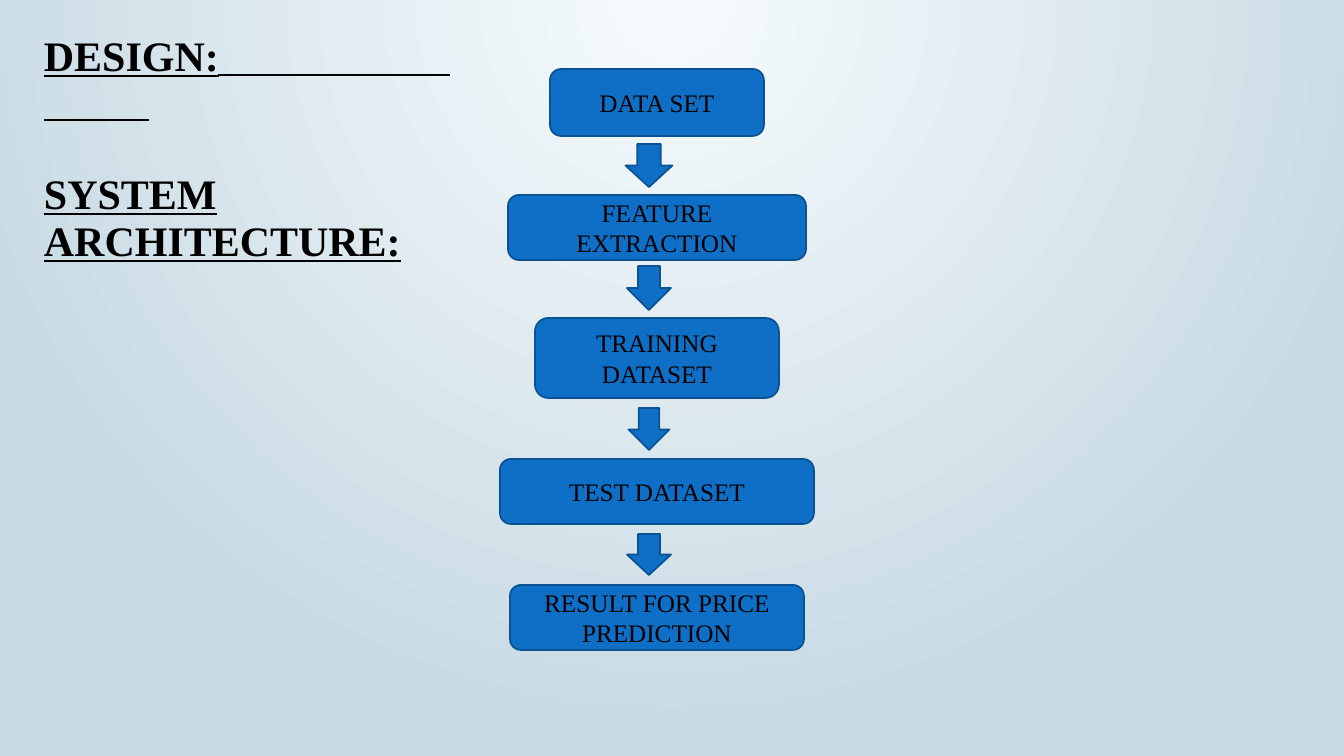
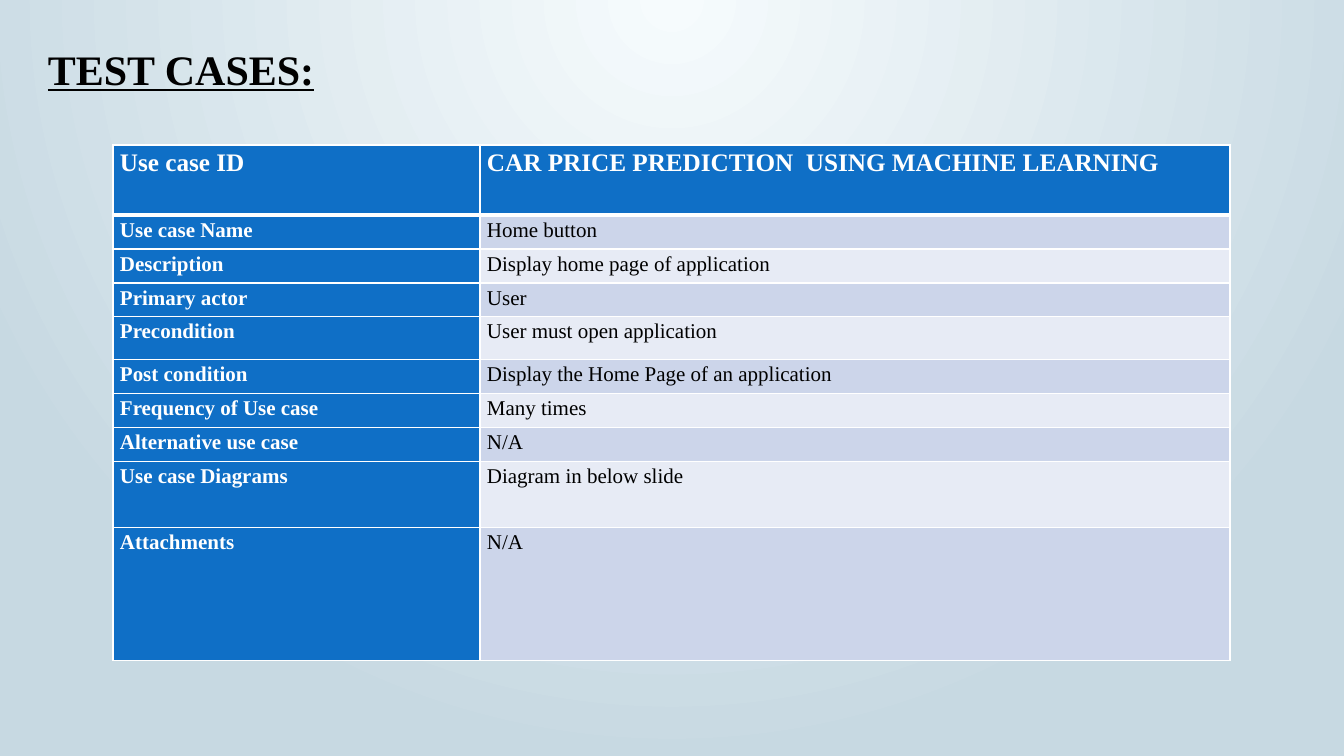
from lxml import etree
from pptx import Presentation
from pptx.dml.color import RGBColor
from pptx.enum.shapes import MSO_CONNECTOR, MSO_SHAPE
from pptx.enum.text import MSO_ANCHOR, PP_ALIGN
from pptx.oxml import parse_xml
from pptx.oxml.ns import nsdecls, qn
from pptx.util import Emu, Pt

# Shared style
SLIDE_WIDTH, SLIDE_HEIGHT = 1344, 756
EMU_PER_PX = 12192000 / SLIDE_WIDTH
FONT = "Times New Roman"

BLACK = RGBColor(0x00, 0x00, 0x00)
WHITE = RGBColor(0xFF, 0xFF, 0xFF)
BLUE = RGBColor(0x0F, 0x6F, 0xC6)
DARK_BLUE = RGBColor(0x0B, 0x52, 0x92)
BAND_DARK = RGBColor(0xCC, 0xD5, 0xEA)
BAND_LIGHT = RGBColor(0xE7, 0xEB, 0xF5)
GLOW = RGBColor(0xF6, 0xFB, 0xFD)
MIST = RGBColor(0xC7, 0xD9, 0xE2)

TITLE_FORMAT = {"size": Pt(30), "bold": True, "underline": True}
STEP_FORMAT = {"size": Pt(18)}
CELL_SPACING = {"line_spacing": 1.15, "space_after": Pt(10)}

# Flow chart: text, top, width, height
STEP_CENTER, ARROW_CENTER = 657, 649
STEPS = [
    ("DATA SET", 69, 214, 67),
    ("FEATURE EXTRACTION", 195, 298, 65),
    ("TRAINING DATASET", 318, 244, 80),
    ("TEST DATASET", 459, 314, 65),
    ("RESULT FOR PRICE PREDICTION", 585, 294, 65),
]
ARROWS = [(144, 47, 43), (266, 44, 44), (408, 41, 42), (534, 44, 41)]

# Use case table: label, value, row height
TABLE_LEFT, TABLE_TOP = 113, 145
COLUMN_WIDTHS = (367, 750)
USE_CASE = [
    ("Use case ID", "CAR PRICE PREDICTION  USING MACHINE LEARNING", 70),
    ("Use case Name", "Home button", 34),
    ("Description", "Display home page of application", 34),
    ("Primary actor", "User", 34),
    ("Precondition", "User must open application", 43),
    ("Post condition", "Display the Home Page of an application", 34),
    ("Frequency of Use case", "Many times", 34),
    ("Alternative use case", "N/A", 34),
    ("Use case Diagrams", "Diagram in below slide", 66),
    ("Attachments", "N/A", 133),
]


def px(value):
    return Emu(round(value * EMU_PER_PX))


def apply_format(target, values):
    for name, value in values.items():
        setattr(target, name, value)


def write(paragraph, text, font_format, color=BLACK, paragraph_format=None):
    run = paragraph.add_run()
    run.text = text
    apply_format(run.font, {"name": FONT, **font_format})
    run.font.color.rgb = color
    apply_format(paragraph, paragraph_format or {})


def set_background(master):
    """Radial gradient spreading from the top centre of every slide."""
    fill = master.background.fill
    fill.gradient()
    for stop, color in zip(fill.gradient_stops, (GLOW, MIST)):
        stop.color.rgb = color
    gradient = master.background.fill._fill._gradFill
    gradient.replace(
        gradient.find(qn("a:lin")),
        parse_xml(
            f'<a:path {nsdecls("a")} path="circle">'
            '<a:fillToRect l="43000" t="0" r="43000" b="100000"/></a:path>'
        ),
    )


def add_title(slide, left, top, width, height, lines, paragraph_format, gap=0):
    box = slide.shapes.add_textbox(px(left), px(top), px(width), px(height))
    frame = box.text_frame
    frame.word_wrap = True
    for index, line in enumerate(lines):
        paragraph = frame.add_paragraph() if index else frame.paragraphs[0]
        write(paragraph, line, TITLE_FORMAT, paragraph_format=paragraph_format)
        if index:
            paragraph.space_before = Pt(gap)


def add_rule(slide, left, right, y):
    rule = slide.shapes.add_connector(
        MSO_CONNECTOR.STRAIGHT, px(left), px(y), px(right), px(y)
    )
    rule.line.color.rgb = BLACK
    rule.line.width = Pt(1.5)
    etree.SubElement(rule._element.spPr, qn("a:effectLst"))


def add_blue_shape(slide, kind, center, top, width, height):
    shape = slide.shapes.add_shape(
        kind, px(center - width / 2), px(top), px(width), px(height)
    )
    shape.shadow.inherit = False
    shape.fill.solid()
    shape.fill.fore_color.rgb = BLUE
    shape.line.color.rgb = DARK_BLUE
    shape.line.width = Pt(1.25)
    return shape


def add_step(slide, text, top, width, height):
    shape = add_blue_shape(
        slide, MSO_SHAPE.ROUNDED_RECTANGLE, STEP_CENTER, top, width, height
    )
    frame = shape.text_frame
    apply_format(frame, {"word_wrap": True, "vertical_anchor": MSO_ANCHOR.MIDDLE})
    write(frame.paragraphs[0], text, STEP_FORMAT,
          paragraph_format={"alignment": PP_ALIGN.CENTER})


def set_borders(cell, widths):
    properties = cell._tc.get_or_add_tcPr()
    for index, (side, width) in enumerate(widths.items()):
        properties.insert(index, parse_xml(
            f'<a:ln{side} {nsdecls("a")} w="{Pt(width)}"><a:solidFill>'
            f'<a:srgbClr val="{WHITE}"/></a:solidFill></a:ln{side}>'
        ))


def fill_cell(cell, text, row, column):
    is_heading = row == 0 or column == 0
    band = BAND_DARK if row % 2 else BAND_LIGHT
    cell.fill.solid()
    cell.fill.fore_color.rgb = BLUE if is_heading else band
    apply_format(cell, {"margin_left": px(7), "margin_right": px(7),
                        "margin_top": 0, "margin_bottom": 0})
    font_format = {"size": Pt(15 if row else 18), "bold": is_heading}
    write(cell.text_frame.paragraphs[0], text, font_format,
          WHITE if is_heading else BLACK, CELL_SPACING)
    set_borders(cell, {"L": 1, "R": 1, "T": 3 if row == 1 else 1,
                       "B": 1 if row else 3})


def add_use_case_table(slide):
    height = sum(row_height for *_, row_height in USE_CASE)
    table = slide.shapes.add_table(
        len(USE_CASE), len(COLUMN_WIDTHS), px(TABLE_LEFT), px(TABLE_TOP),
        px(sum(COLUMN_WIDTHS)), px(height),
    ).table
    apply_format(table, {"first_row": False, "horz_banding": False})
    for column, width in zip(table.columns, COLUMN_WIDTHS):
        column.width = px(width)
    for row, (*texts, row_height) in enumerate(USE_CASE):
        table.rows[row].height = px(row_height)
        for column, text in enumerate(texts):
            fill_cell(table.cell(row, column), text, row, column)


def build_design(slide):
    add_title(slide, 34, 29, 433, 240, ["DESIGN:", "SYSTEM ARCHITECTURE:"],
              {"line_spacing": 0.93}, gap=65)
    # Underline running on after the heading
    add_rule(slide, 218, 450, 75)
    add_rule(slide, 44, 149, 120)
    for step in STEPS:
        add_step(slide, *step)
    for arrow in ARROWS:
        add_blue_shape(slide, MSO_SHAPE.DOWN_ARROW, ARROW_CENTER, *arrow)


def build_test_cases(slide):
    add_use_case_table(slide)
    add_title(slide, 38, 31, 590, 65, ["TEST CASES:"], CELL_SPACING)


def main():
    presentation = Presentation()
    presentation.slide_width = px(SLIDE_WIDTH)
    presentation.slide_height = px(SLIDE_HEIGHT)
    set_background(presentation.slide_master)
    blank = presentation.slide_layouts[6]
    for build in (build_design, build_test_cases):
        build(presentation.slides.add_slide(blank))
    presentation.save("out.pptx")


if __name__ == "__main__":
    main()
